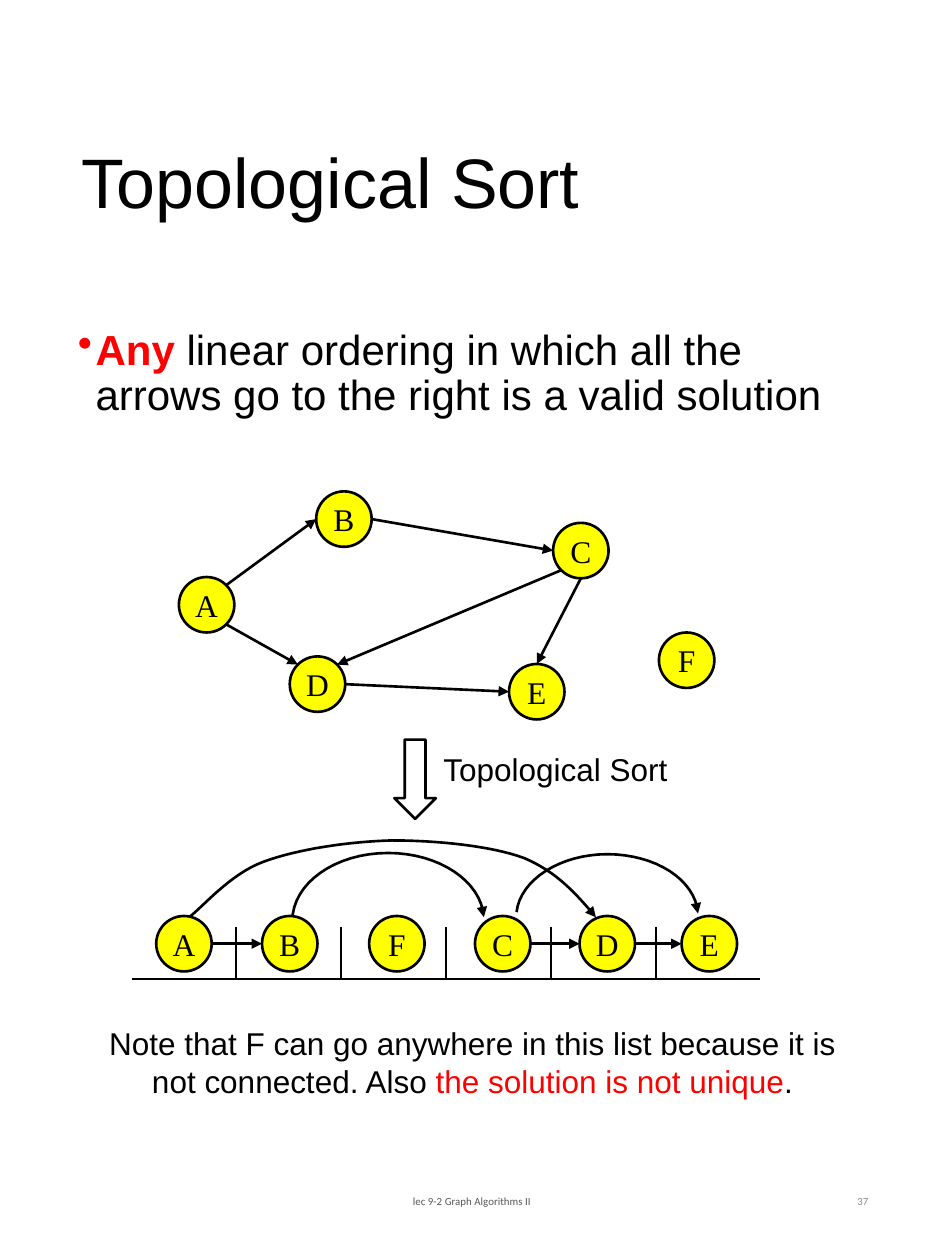
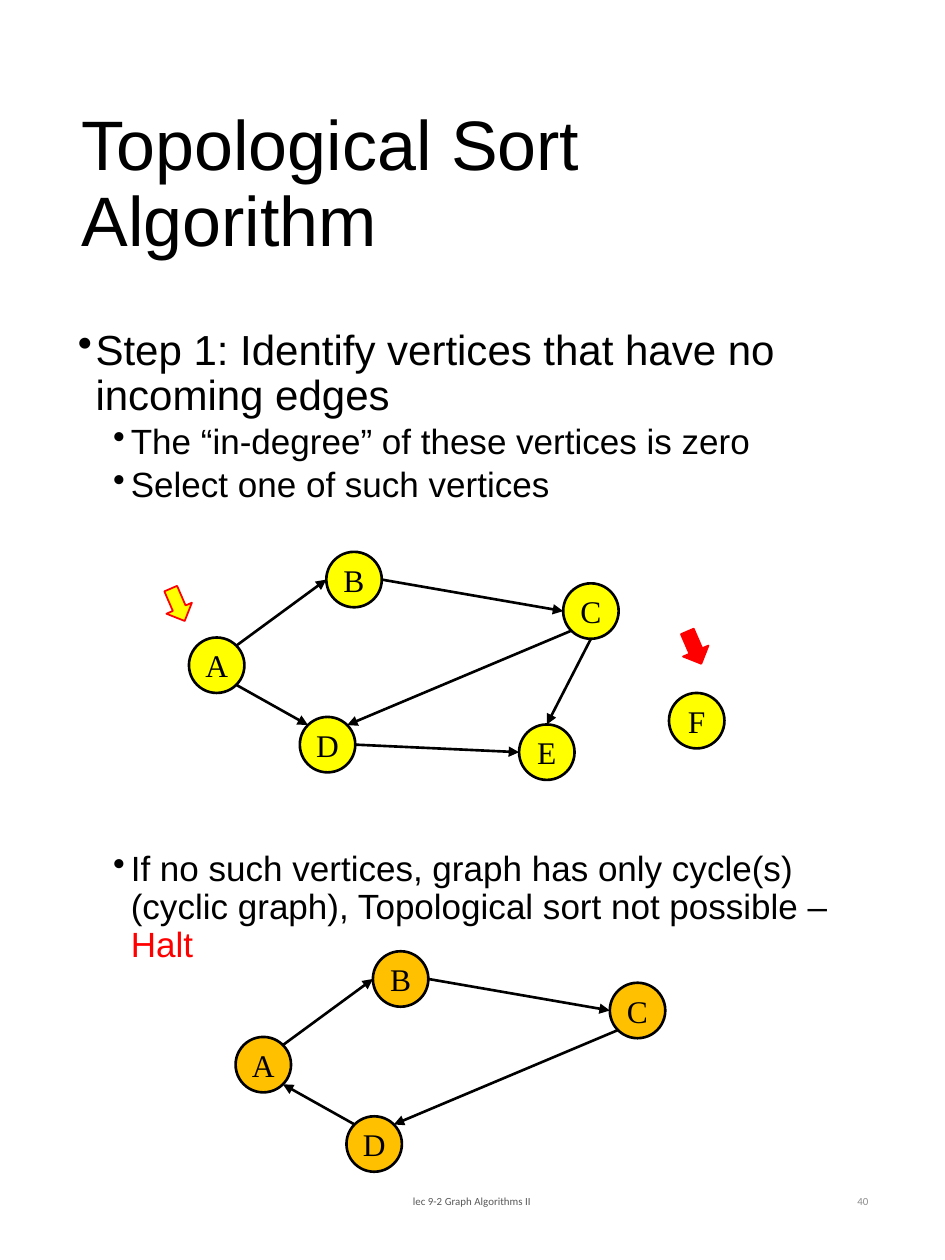
import math

from lxml import etree
from pptx import Presentation
from pptx import util as u
from pptx.dml.color import RGBColor
from pptx.enum import shapes, text
from pptx.oxml import ns

BLACK = RGBColor(0x00, 0x00, 0x00)
WHITE = RGBColor(0xFF, 0xFF, 0xFF)
RED = RGBColor(0xFF, 0x00, 0x00)
YELLOW = RGBColor(0xFF, 0xFF, 0x00)
ORANGE = RGBColor(0xFF, 0xC0, 0x00)
FOOTER_GRAY = RGBColor(0x59, 0x59, 0x59)
NUMBER_GRAY = RGBColor(0x8C, 0x8C, 0x8C)

NODE = 0.44
LEFT, CENTER, RIGHT = text.PP_ALIGN.LEFT, text.PP_ALIGN.CENTER, text.PP_ALIGN.RIGHT
TOP, MIDDLE = text.MSO_ANCHOR.TOP, text.MSO_ANCHOR.MIDDLE

COMPASS = {"E": 0, "SE": 45, "S": 90, "SW": 135, "W": 180, "NW": 225, "N": 270, "NE": 315}
VERTICES = {"A": (0, 0.68), "B": (1.09, 0), "C": (2.97, 0.25),
            "D": (0.88, 1.31), "E": (2.62, 1.37), "F": (3.81, 1.12)}
CYCLE_EDGES = [("A", "NE", "B", "W"), ("B", "E", "C", "W"), ("C", "SW", "D", "NE")]
DAG_EDGES = CYCLE_EDGES + [("A", "SE", "D", "NW"), ("D", "E", "E", "W"), ("C", "S", "E", "N")]

ORDER_X = {"A": 0.2, "B": 1.04, "F": 1.89, "C": 2.73, "D": 3.56, "E": 4.37}
ORDER_ARCS = [
    [(1.28, 0.64), (1.28, 0.34), (1.62, 0.1), (2.04, 0.1),
     (2.44, 0.1), (2.78, 0.32), (2.8, 0.61)],
    [(3.06, 0.57), (3.09, 0.31), (3.41, 0.11), (3.78, 0.11),
     (4.16, 0.11), (4.48, 0.31), (4.5, 0.58)],
    [(0.46, 0.61), (0.56, 0.54), (0.78, 0.27), (1.05, 0.17), (1.32, 0.07),
     (1.72, 0.01), (2.07, 0), (2.41, 0), (2.85, 0.04), (3.12, 0.14),
     (3.38, 0.25), (3.53, 0.42), (3.69, 0.61)],
]


def apply(obj, values):
    """Set every attribute named in values on obj."""
    for name, value in values.items():
        setattr(obj, name, value)


def box(*lengths):
    """Turn inch numbers into lengths."""
    return [u.Inches(n) for n in lengths]


def add_runs(p, runs, size, font):
    """Add (text, colour, bold) runs to a paragraph."""
    for words, color, bold in runs:
        r = p.add_run()
        r.text = words
        apply(r.font, {"size": u.Pt(size), "name": font, "bold": bold})
        r.font.color.rgb = color


def add_text(s, at, runs, size, font="Arial", align=LEFT, anchor=MIDDLE, wrap=True, spacing=1.0):
    """Add a one-paragraph text box."""
    tf = s.shapes.add_textbox(*box(*at)).text_frame
    apply(tf, {"word_wrap": wrap, "vertical_anchor": anchor})
    p = tf.paragraphs[0]
    apply(p, {"alignment": align, "line_spacing": spacing})
    add_runs(p, runs, size, font)


def add_bullets(s, at, items):
    """Add bulleted paragraphs given as (level, points before, runs)."""
    tf = s.shapes.add_textbox(*box(*at)).text_frame
    tf.word_wrap = True
    for i, (level, before, runs) in enumerate(items):
        p = tf.paragraphs[0] if i == 0 else tf.add_paragraph()
        pPr = p._p.get_or_add_pPr()
        pPr.set("marL", str(u.Inches((0.14, 0.42)[level])))
        pPr.set("indent", str(u.Inches(-0.14)))
        etree.SubElement(pPr, ns.qn("a:buChar")).set("char", "•")
        apply(p, {"level": level, "line_spacing": 0.9, "space_before": u.Pt(before)})
        add_runs(p, runs, (24, 20)[level], "Arial")


def set_line(sp, color=BLACK, width=1.5, arrow=False):
    """Style an outline and optionally end it with an arrowhead."""
    sp.line.color.rgb = color
    sp.line.width = u.Pt(width)
    if arrow:
        ln = sp._element.spPr.find(ns.qn("a:ln"))
        etree.SubElement(ln, ns.qn("a:tailEnd")).set("type", "triangle")


def add_shape(s, kind, at, fill=None, line=BLACK, width=1.5, rotation=0):
    """Add a preset shape without shadow."""
    sp = s.shapes.add_shape(kind, *box(*at))
    apply(sp, {"rotation": rotation})
    sp.shadow.inherit = False
    if fill is None:
        sp.fill.background()
    else:
        sp.fill.solid()
        sp.fill.fore_color.rgb = fill
    set_line(sp, line, width)
    return sp


def add_node(s, x, y, label, fill):
    """Add a labelled circular vertex."""
    sp = add_shape(s, shapes.MSO_SHAPE.OVAL, (x, y, NODE, NODE), fill)
    tf = sp.text_frame
    apply(tf, {"word_wrap": False, "vertical_anchor": MIDDLE})
    tf.paragraphs[0].alignment = CENTER
    add_runs(tf.paragraphs[0], [(label, BLACK, False)], 18, "Times New Roman")


def rim(corner, side):
    """Return the point of a vertex circle at a compass side."""
    a = math.radians(COMPASS[side])
    return (corner[0] + NODE / 2 * (1 + math.cos(a)),
            corner[1] + NODE / 2 * (1 + math.sin(a)))


def add_edge(s, start, end):
    """Add a straight arrow between two points."""
    sp = s.shapes.add_connector(shapes.MSO_CONNECTOR.STRAIGHT, *box(*start, *end))
    set_line(sp, arrow=True)
    etree.SubElement(sp._element.spPr, ns.qn("a:effectLst"))


def add_graph(s, x, y, labels, edges, fill):
    """Draw a directed graph whose box starts at x, y."""
    corners = {v: (x + VERTICES[v][0], y + VERTICES[v][1]) for v in labels}
    for label, corner in corners.items():
        add_node(s, *corner, label, fill)
    for tail, out, head, into in edges:
        add_edge(s, rim(corners[tail], out), rim(corners[head], into))


def bezier(points, steps=16):
    """Sample a chain of cubic curves."""
    out = [points[0]]
    for i in range(0, len(points) - 1, 3):
        for k in range(1, steps + 1):
            t = k / steps
            weights = [(1 - t) ** 3, 3 * t * (1 - t) ** 2, 3 * t * t * (1 - t), t ** 3]
            out.append(tuple(sum(w * p[axis] for w, p in zip(weights, points[i:i + 4]))
                             for axis in (0, 1)))
    return out


def add_arc(s, x, y, points):
    """Add a curved arrow through control points relative to x, y."""
    path_points = [box(x + px, y + py) for px, py in bezier(points)]
    builder = s.shapes.build_freeform(*path_points[0], scale=1.0)
    builder.add_line_segments(path_points[1:], close=False)
    sp = builder.convert_to_shape()
    sp.fill.background()
    sp.shadow.inherit = False
    set_line(sp, arrow=True)


def add_slots(s, x, y, width, height, count):
    """Add the open-topped row of slots as a table."""
    table = s.shapes.add_table(1, count, *box(x, y, width, height)).table
    apply(table, {"first_row": False, "horz_banding": False})
    for i in range(count):
        cell = table.cell(0, i)
        apply(cell, {"margin_top": 0, "margin_bottom": 0})
        cell.fill.background()
        tcPr = cell._tc.get_or_add_tcPr()
        sides = {"L": WHITE if i == 0 else BLACK,
                 "R": WHITE if i == count - 1 else BLACK, "T": WHITE, "B": BLACK}
        for k, (side, color) in enumerate(sides.items()):
            ln = etree.Element(ns.qn(f"a:ln{side}"), w=str(u.Pt(1)))
            fill = etree.SubElement(ln, ns.qn("a:solidFill"))
            etree.SubElement(fill, ns.qn("a:srgbClr")).set("val", str(color))
            tcPr.insert(k, ln)


def add_ordering(s, x, y):
    """Draw the linear ordering whose box starts at x, y."""
    for points in ORDER_ARCS:
        add_arc(s, x, y, points)
    add_slots(s, x, y + 0.69, 5, 0.41, len(ORDER_X))
    corners = {v: (x + dx, y + 0.6) for v, dx in ORDER_X.items()}
    for label, corner in corners.items():
        add_node(s, *corner, label, YELLOW)
    for tail, head in ("AB", "CD", "DE"):
        add_edge(s, rim(corners[tail], "E"), rim(corners[head], "W"))


def add_frame(prs, title, number):
    """Start a slide with its title, footer and number."""
    s = prs.slides.add_slide(prs.slide_layouts[6])
    add_text(s, (0.55, 0.51, 6.47, 1.93), [(title, BLACK, False)], 40, spacing=0.9)
    add_text(s, (2.48, 9.27, 2.53, 0.53), [("lec 9-2 Graph Algorithms II", FOOTER_GRAY, False)],
             6.2, "Calibri", CENTER)
    add_text(s, (5.3, 9.27, 1.69, 0.53), [(number, NUMBER_GRAY, False)], 6.2, "Calibri", RIGHT)
    return s


def ordering_slide(prs):
    """Build the slide on valid linear orderings."""
    s = add_frame(prs, "Topological Sort", "37")
    add_bullets(s, (0.52, 2.56, 6.47, 1), [(0, 0, [
        ("Any", RED, True),
        (" linear ordering in which all the arrows go to the right is a valid solution",
         BLACK, False)])])
    add_graph(s, 1.42, 3.9, "ABCDEF", DAG_EDGES, YELLOW)
    add_shape(s, shapes.MSO_SHAPE.DOWN_ARROW, (3.13, 5.87, 0.33, 0.63))
    add_text(s, (3.42, 5.9, 2.13, 0.4), [("Topological Sort", BLACK, False)], 18,
             anchor=TOP, wrap=False)
    add_ordering(s, 1.04, 6.67)
    add_text(s, (0.62, 8.07, 6.26, 0.71), [
        ("Note that F can go anywhere in this list because it is not connected. Also ",
         BLACK, False),
        ("the solution is not unique", RED, False), (".", BLACK, False)], 18, align=CENTER)


def algorithm_slide(prs):
    """Build the slide on the first step of the algorithm."""
    s = add_frame(prs, "Topological Sort Algorithm", "40")
    add_bullets(s, (0.52, 2.56, 6.47, 6.34), [
        (0, 0, [("Step 1: Identify vertices that have no incoming edges", BLACK, False)]),
        (1, 2.8, [("The “in-degree” of these vertices is zero", BLACK, False)]),
        (1, 2.8, [("Select one of such vertices", BLACK, False)]),
        (1, 198, [("If no such vertices, graph has only cycle(s) (cyclic graph), "
                   "Topological sort not possible – ", BLACK, False), ("Halt", RED, False)])])
    add_graph(s, 1.5, 4.38, "ABCDEF", DAG_EDGES, YELLOW)
    for x, y, fill in ((1.27, 4.69, YELLOW), (5.37, 5.03, RED)):
        add_shape(s, shapes.MSO_SHAPE.RIGHT_ARROW, (x, y, 0.28, 0.22), fill, RED, 1, 66.6)
    add_graph(s, 1.87, 7.55, "ABCD", CYCLE_EDGES + [("D", "NW", "A", "SE")], ORANGE)


def main():
    """Build and save the deck."""
    prs = Presentation()
    apply(prs, {"slide_width": u.Inches(7.5), "slide_height": u.Inches(10)})
    ordering_slide(prs)
    algorithm_slide(prs)
    prs.save("out.pptx")


if __name__ == "__main__":
    main()
